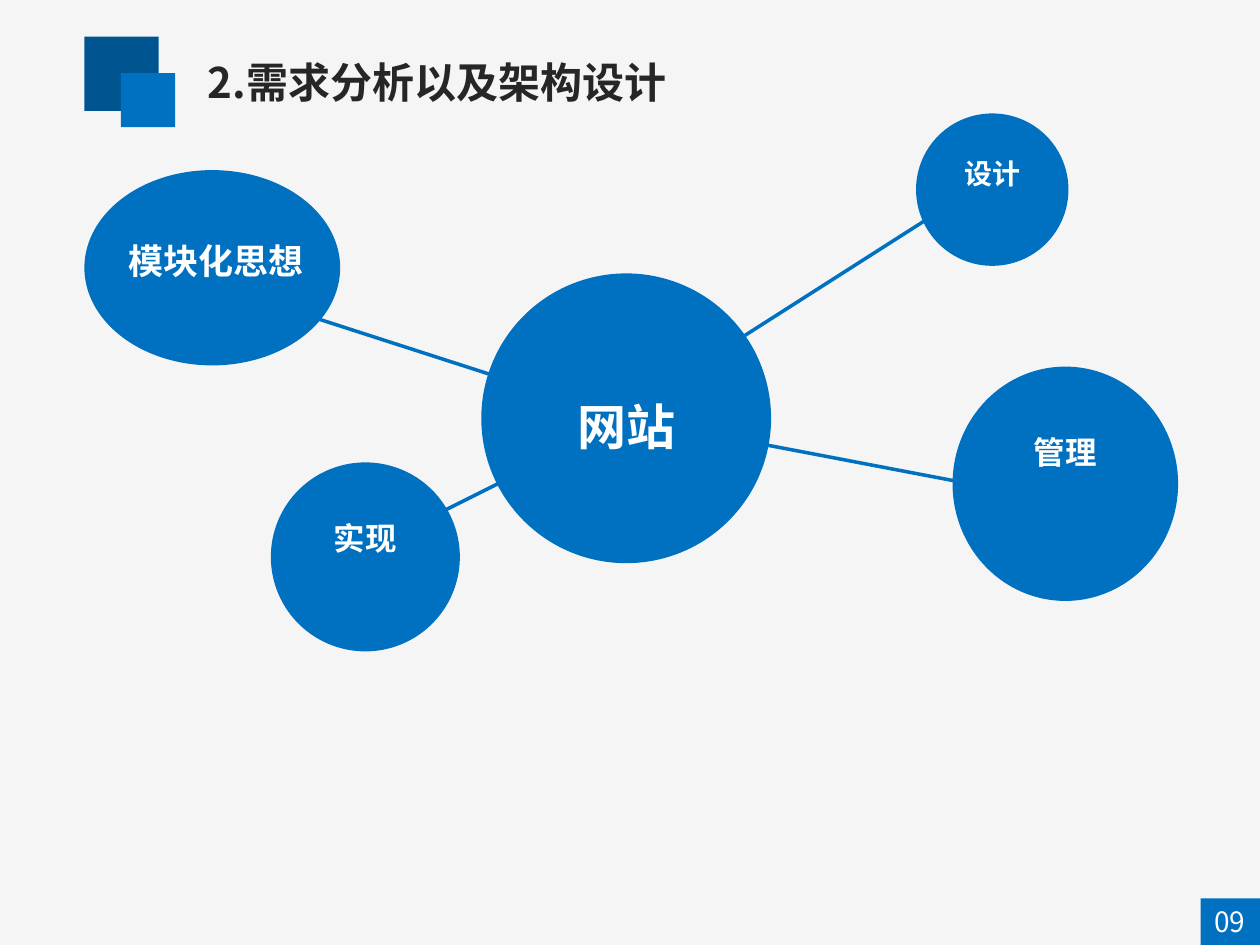
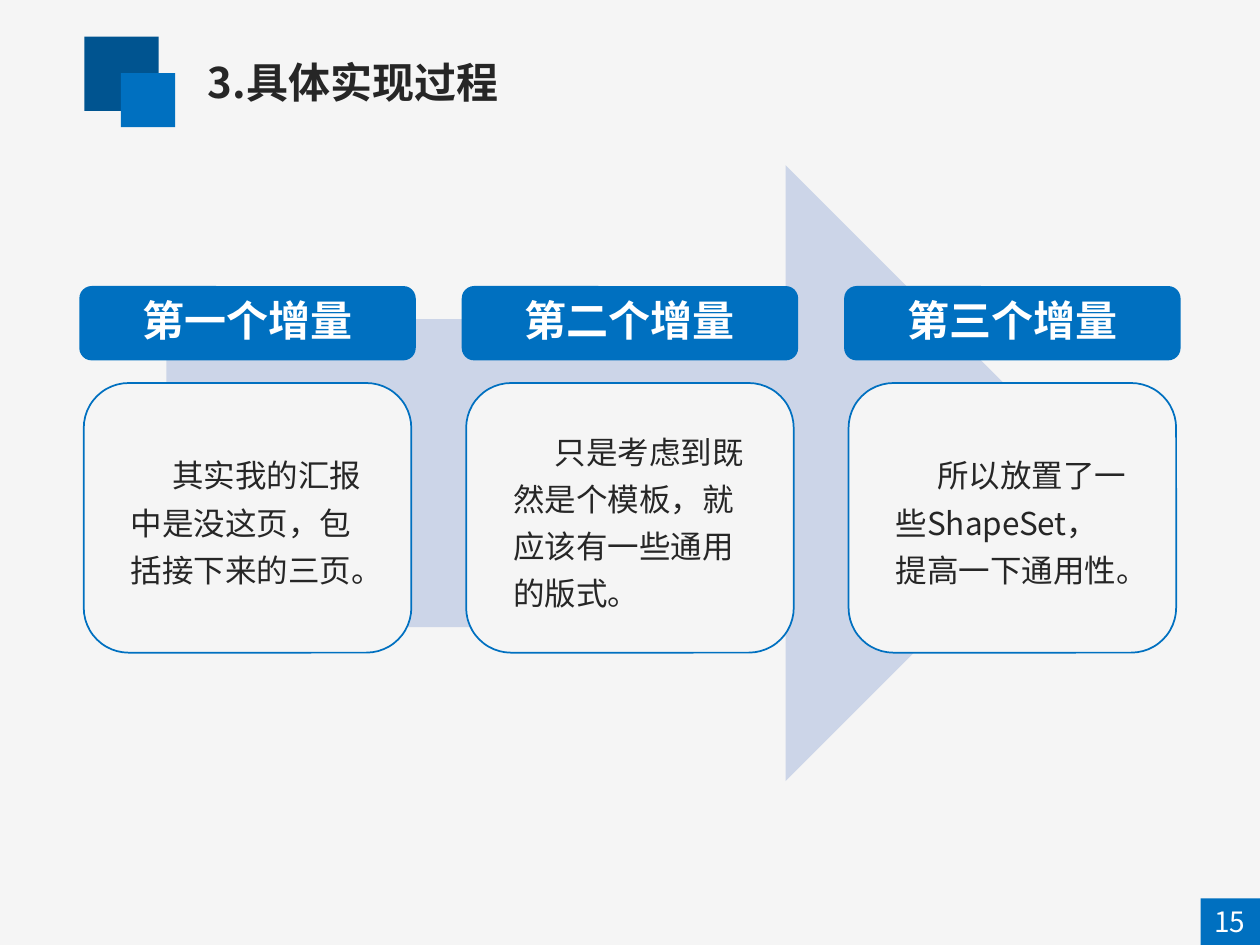
from dataclasses import dataclass

from lxml import etree
from pptx import Presentation
from pptx import util as u
from pptx.dml import color
from pptx.enum import shapes, text
from pptx.oxml import ns

COLUMNS, ROWS = 100, 75
WIDTH, HEIGHT = u.Inches(10), u.Inches(7.5)
COLUMN, ROW = WIDTH / COLUMNS, HEIGHT / ROWS
CENTER = text.PP_ALIGN.CENTER
KIND = shapes.MSO_SHAPE


@dataclass(frozen=True)
class Theme:
    font: str = "Noto Sans CJK SC"
    paper: str = "F5F5F5"
    navy: str = "005490"
    blue: str = "0070C0"
    pale: str = "CCD5E8"
    ink: str = "262626"
    white: str = "FFFFFF"
    title: int = 24
    hub: int = 28
    topic: int = 20
    body: int = 18
    small: int = 16


THEME = Theme()


@dataclass(frozen=True)
class Box:
    """A rectangle measured in grid columns and rows."""
    left: float
    top: float
    width: float
    height: float

    def inner(self, left, top, width, height):
        return Box(self.left + left, self.top + top, width, height)

    def point(self, across, down):
        return round((self.left + across) * COLUMN), round((self.top + down) * ROW)

    def emu(self):
        return *self.point(0, 0), round(self.width * COLUMN), round(self.height * ROW)


PAGE = Box(0, 0, COLUMNS, ROWS)


def rgb(value):
    return color.RGBColor.from_string(value)


def apply(target, values):
    for name, value in values.items():
        setattr(target, name, value)


def draw(parent, kind, box, fill, line=None):
    shape = parent.shapes.add_shape(kind, *box.emu())
    shape.shadow.inherit = False
    shape.fill.solid()
    shape.fill.fore_color.rgb = rgb(fill)
    if line:
        shape.line.color.rgb = rgb(line)
        shape.line.width = u.Pt(1)
    else:
        shape.line.fill.background()
    return shape


def write(shape, words, size, ink, bold=False, **paragraph_format):
    paragraph = shape.text_frame.paragraphs[0]
    apply(paragraph, paragraph_format)
    run = paragraph.add_run()
    run.text = words
    apply(run.font, {"name": THEME.font, "size": u.Pt(size), "bold": bold})
    run.font.color.rgb = rgb(ink)
    etree.SubElement(run.font._element, ns.qn("a:ea"), typeface=THEME.font)
    return paragraph


def label(parent, box, words, size, ink, bold=False, **paragraph_format):
    shape = parent.shapes.add_textbox(*box.emu())
    apply(shape.text_frame, {"word_wrap": True,
                             "auto_size": text.MSO_AUTO_SIZE.SHAPE_TO_FIT_TEXT})
    write(shape, words, size, ink, bold, **paragraph_format)


def heading(slide, box, words):
    marker = slide.shapes.add_group_shape()
    draw(marker, KIND.RECTANGLE, box.inner(0, 0, 5.9, 5.9), THEME.navy)
    draw(marker, KIND.RECTANGLE, box.inner(2.9, 2.9, 4.3, 4.3), THEME.blue)
    label(slide, box.inner(8.8, 1.1, box.width - 8.8, 5), words,
          THEME.title, THEME.ink, True)


def page_tag(slide, box, number):
    tag = slide.shapes.add_group_shape()
    draw(tag, KIND.RECTANGLE, box, THEME.blue)
    label(tag, box.inner(-1.2, 0, 7, box.height), number,
          THEME.small, THEME.white, alignment=CENTER)


def new_slide(presentation, title, number):
    slide = presentation.slides.add_slide(presentation.slide_layouts[6])
    slide.background.fill.solid()
    slide.background.fill.fore_color.rgb = rgb(THEME.paper)
    heading(slide, PAGE.inner(6.7, 2.9, 86.6, 7.2), title)
    page_tag(slide, PAGE.inner(95.3, 71.3, 4.7, 3.7), number)
    return slide


def spoke(slide, start, end):
    line = slide.shapes.add_connector(shapes.MSO_CONNECTOR.STRAIGHT, *start, *end)
    line.line.color.rgb = rgb(THEME.blue)
    line.line.width = u.Pt(2)
    etree.SubElement(line._element.spPr, ns.qn("a:effectLst"))


def bubble(slide, box, words, size, label_top, label_shift=0):
    group = slide.shapes.add_group_shape()
    draw(group, KIND.OVAL, box, THEME.blue)
    label(group, box.inner(label_shift, label_top, box.width, size / 5), words,
          size, THEME.white, True, alignment=CENTER)


def mind_map(slide, box):
    spokes = [((12, 9.7), (42.7, 19.6)), ((21.4, 30.6), (42.8, 19.9)),
              ((41.8, 19.9), (69.7, 2.1)), ((42.5, 19.6), (78.7, 26.5))]
    for start, end in spokes:
        spoke(slide, box.point(*start), box.point(*end))

    bubbles = [((31.5, 8.2, 23, 23), "网站", THEME.hub, 9.3),
               ((66, -4.5, 12.1, 12.1), "设计", THEME.small, 2.9),
               ((0, 0, 20.3, 15.5), "模块化思想", THEME.topic, 5, 0.3),
               ((68.9, 15.6, 17.9, 18.6), "管理", THEME.body, 4.8),
               ((14.8, 23.2, 15, 15), "实现", THEME.body, 4)]
    for place, *content in bubbles:
        bubble(slide, box.inner(*place), *content)


def panel(slide, box, fill, words, size, ink, bold=False, line=None, **paragraph_format):
    """Rounded box with equal insets and vertically centred text."""
    shape = draw(slide, KIND.ROUNDED_RECTANGLE, box, fill, line)
    sides = ("left", "top", "right", "bottom")
    apply(shape.text_frame, {f"margin_{side}": u.Inches(0.27) for side in sides})
    apply(shape.text_frame, {"word_wrap": True,
                             "vertical_anchor": text.MSO_ANCHOR.MIDDLE})
    return write(shape, words, size, ink, bold,
                 space_after=u.Pt(round(size * 0.35, 1)), **paragraph_format)


def increment_steps(slide, box, steps):
    draw(slide, KIND.RIGHT_ARROW, box.inner(6.9, 0, 73.6, 48.9), THEME.pale)
    header_width, overhang = 26.7, 0.35
    pitch = (box.width - header_width) / (len(steps) - 1)
    columns = [box.inner(index * pitch, 9.6, header_width, 29.1)
               for index in range(len(steps))]
    for column, (_, body) in zip(columns, steps):
        card = column.inner(overhang, 7.7, header_width - 2 * overhang, 21.4)
        paragraph = panel(slide, card, THEME.paper, body, THEME.body, THEME.ink,
                          line=THEME.blue, line_spacing=1.25,
                          alignment=text.PP_ALIGN.LEFT)
        paragraph._p.get_or_add_pPr().set("indent", str(u.Inches(0.33)))
    for column, (name, _) in zip(columns, steps):
        panel(slide, column.inner(0, 0, header_width, 5.9), THEME.blue, name,
              THEME.title, THEME.white, True, line_spacing=0.9, alignment=CENTER)


def main():
    presentation = Presentation()
    apply(presentation, {"slide_width": WIDTH, "slide_height": HEIGHT})

    slide = new_slide(presentation, "2.需求分析以及架构设计", "09")
    mind_map(slide, PAGE.inner(6.7, 13.5, 86.8, 38.2))

    slide = new_slide(presentation, "3.具体实现过程", "15")
    increment_steps(slide, PAGE.inner(6.3, 13.1, 87.4, 48.9), [
        ("第一个增量", "其实我的汇报中是没这页，包括接下来的三页。"),
        ("第二个增量", "只是考虑到既然是个模板，就应该有一些通用的版式。"),
        ("第三个增量", "所以放置了一些ShapeSet，提高一下通用性。")])

    presentation.save("out.pptx")


if __name__ == "__main__":
    main()
